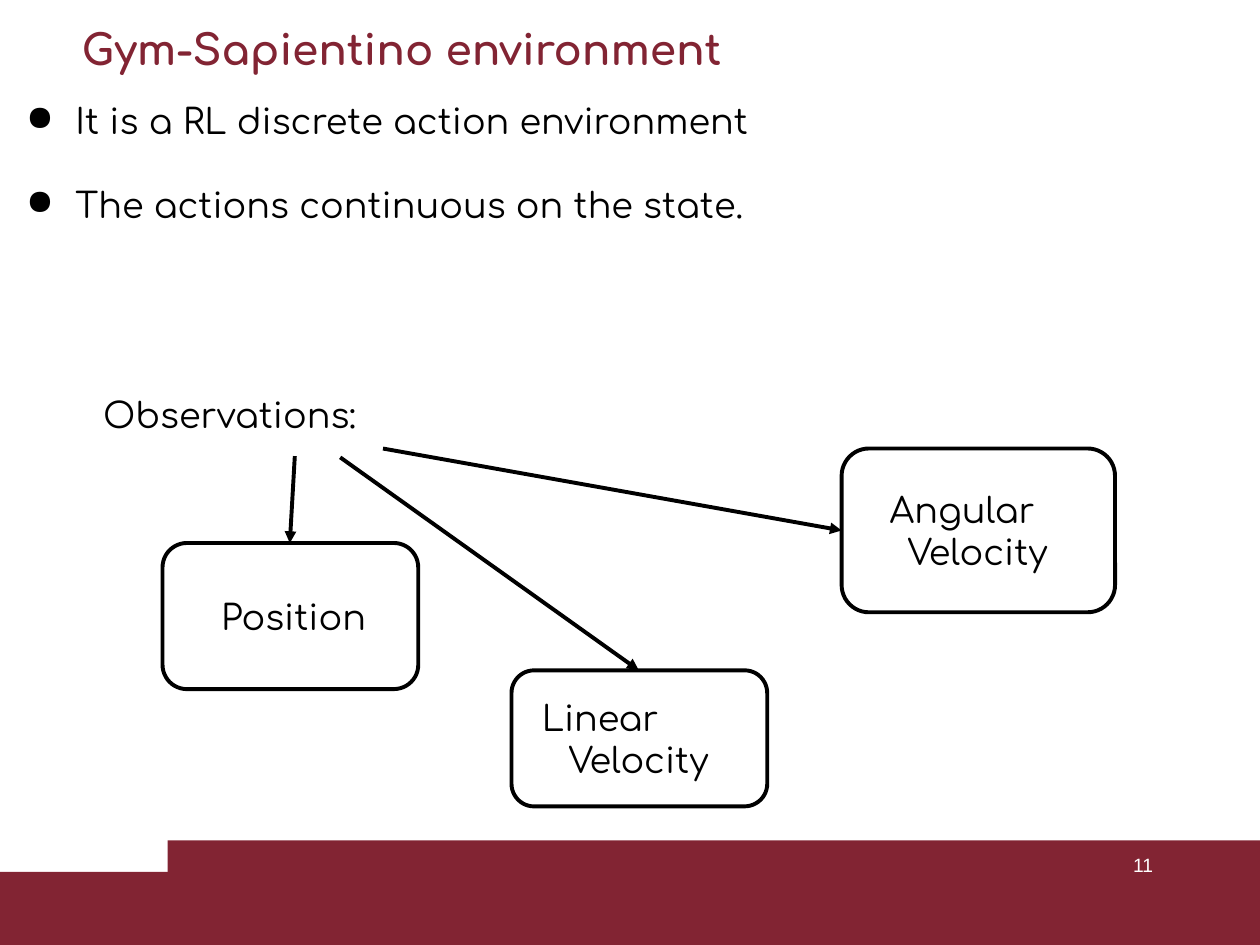
"""Build the slide on the Gym-Sapientino environment and its observations."""
from dataclasses import dataclass

import lxml.etree
import pptx
import pptx.dml.color
import pptx.enum.shapes
import pptx.enum.text
import pptx.oxml.ns
import pptx.util

Inches = pptx.util.Inches
Pt = pptx.util.Pt
RGBColor = pptx.dml.color.RGBColor
Align = pptx.enum.text.PP_ALIGN
qn = pptx.oxml.ns.qn

MAROON = RGBColor(0x82, 0x24, 0x33)
BLACK = RGBColor(0, 0, 0)
WHITE = RGBColor(0xFF, 0xFF, 0xFF)
LINE_WIDTH = Pt(2.25)


@dataclass(frozen=True)
class Rect:
    left: float
    top: float
    width: float
    height: float

    def lengths(self) -> list:
        return [Inches(value) for value in (self.left, self.top, self.width, self.height)]


@dataclass(frozen=True)
class Label:
    text: str
    rect: Rect
    size: float = 20
    color: RGBColor = BLACK
    font: str = "Comfortaa"
    bold: bool = False
    align: Align = Align.LEFT


@dataclass(frozen=True)
class Observation:
    rect: Rect
    lines: tuple
    indents: tuple
    arrow_start: tuple
    arrow_end: tuple


BARS = (Rect(0, 6.92, 10, 0.58), Rect(1.33, 6.67, 8.67, 0.83))
LABELS = (
    Label("Gym-Sapientino environment", Rect(0.55, 0.14, 6.6, 0.7), 24, MAROON, bold=True),
    Label("Observations:", Rect(0.72, 3.07, 2.6, 0.5)),
    Label("11", Rect(7.17, 6.72, 2.08, 0.5), 11, WHITE, "Arial", align=Align.RIGHT),
)
BULLETS = Label(
    "It is a RL discrete action environment\nThe actions continuous on the state.",
    Rect(0, 0.74, 9.82, 1.3),
)
OBSERVATIONS = (
    Observation(Rect(1.29, 4.31, 2.03, 1.16), ("Position",), (0.31,), (2.34, 3.62), (2.3, 4.31)),
    Observation(Rect(4.06, 5.32, 2.03, 1.08), ("Linear", "Velocity"), (0.09, 0.3), (2.7, 3.63), (5.07, 5.32)),
    Observation(Rect(6.68, 3.56, 2.17, 1.3), ("Angular", "Velocity"), (0.22, 0.36), (3.04, 3.56), (6.68, 4.21)),
)


def style_text(text_frame, label: Label) -> None:
    text_frame.word_wrap = True
    text_frame.text = label.text
    for paragraph in text_frame.paragraphs:
        paragraph.alignment = label.align
        for run in paragraph.runs:
            run.font.name = label.font
            run.font.size = Pt(label.size)
            run.font.bold = label.bold
            run.font.color.rgb = label.color


def add_label(slide, label: Label):
    shape = slide.shapes.add_textbox(*label.rect.lengths())
    style_text(shape.text_frame, label)
    return shape


def set_indent(paragraph, margin: float, first_line: float = 0):
    properties = paragraph._p.get_or_add_pPr()
    properties.set("marL", str(Inches(margin)))
    properties.set("indent", str(Inches(first_line)))
    return properties


def add_bullets(slide, label: Label) -> None:
    for paragraph in add_label(slide, label).text_frame.paragraphs:
        paragraph.space_after = Pt(24)
        properties = set_indent(paragraph, 0.5, -0.39)
        lxml.etree.SubElement(properties, qn("a:buChar")).set("char", "●")


def add_bar(slide, rect: Rect) -> None:
    shape = slide.shapes.add_shape(pptx.enum.shapes.MSO_SHAPE.RECTANGLE, *rect.lengths())
    shape.shadow.inherit = False
    shape.fill.solid()
    shape.fill.fore_color.rgb = MAROON
    shape.line.fill.background()


def add_arrow(slide, start: tuple, end: tuple) -> None:
    points = [Inches(value) for value in start + end]
    connector = slide.shapes.add_connector(pptx.enum.shapes.MSO_CONNECTOR.STRAIGHT, *points)
    connector.line.color.rgb = BLACK
    connector.line.width = LINE_WIDTH
    line = connector.line._get_or_add_ln()
    lxml.etree.SubElement(line, qn("a:tailEnd")).set("type", "triangle")
    lxml.etree.SubElement(connector._element.spPr, qn("a:effectLst"))


def add_observation(slide, observation: Observation) -> None:
    shape = slide.shapes.add_shape(
        pptx.enum.shapes.MSO_SHAPE.ROUNDED_RECTANGLE, *observation.rect.lengths()
    )
    shape.shadow.inherit = False
    shape.fill.solid()
    shape.fill.fore_color.rgb = WHITE
    shape.line.color.rgb = BLACK
    shape.line.width = LINE_WIDTH
    text_frame = shape.text_frame
    text_frame.vertical_anchor = pptx.enum.text.MSO_ANCHOR.MIDDLE
    text_frame.margin_top = text_frame.margin_bottom = Inches(0.1)
    style_text(text_frame, Label("\n".join(observation.lines), observation.rect))
    for paragraph, indent in zip(text_frame.paragraphs, observation.indents):
        set_indent(paragraph, indent)
    add_arrow(slide, observation.arrow_start, observation.arrow_end)


def main() -> None:
    presentation = pptx.Presentation()
    presentation.slide_width = Inches(10)
    presentation.slide_height = Inches(7.5)
    slide = presentation.slides.add_slide(presentation.slide_layouts[6])
    for bar in BARS:
        add_bar(slide, bar)
    for label in LABELS:
        add_label(slide, label)
    add_bullets(slide, BULLETS)
    for observation in OBSERVATIONS:
        add_observation(slide, observation)
    presentation.save("out.pptx")


if __name__ == "__main__":
    main()
